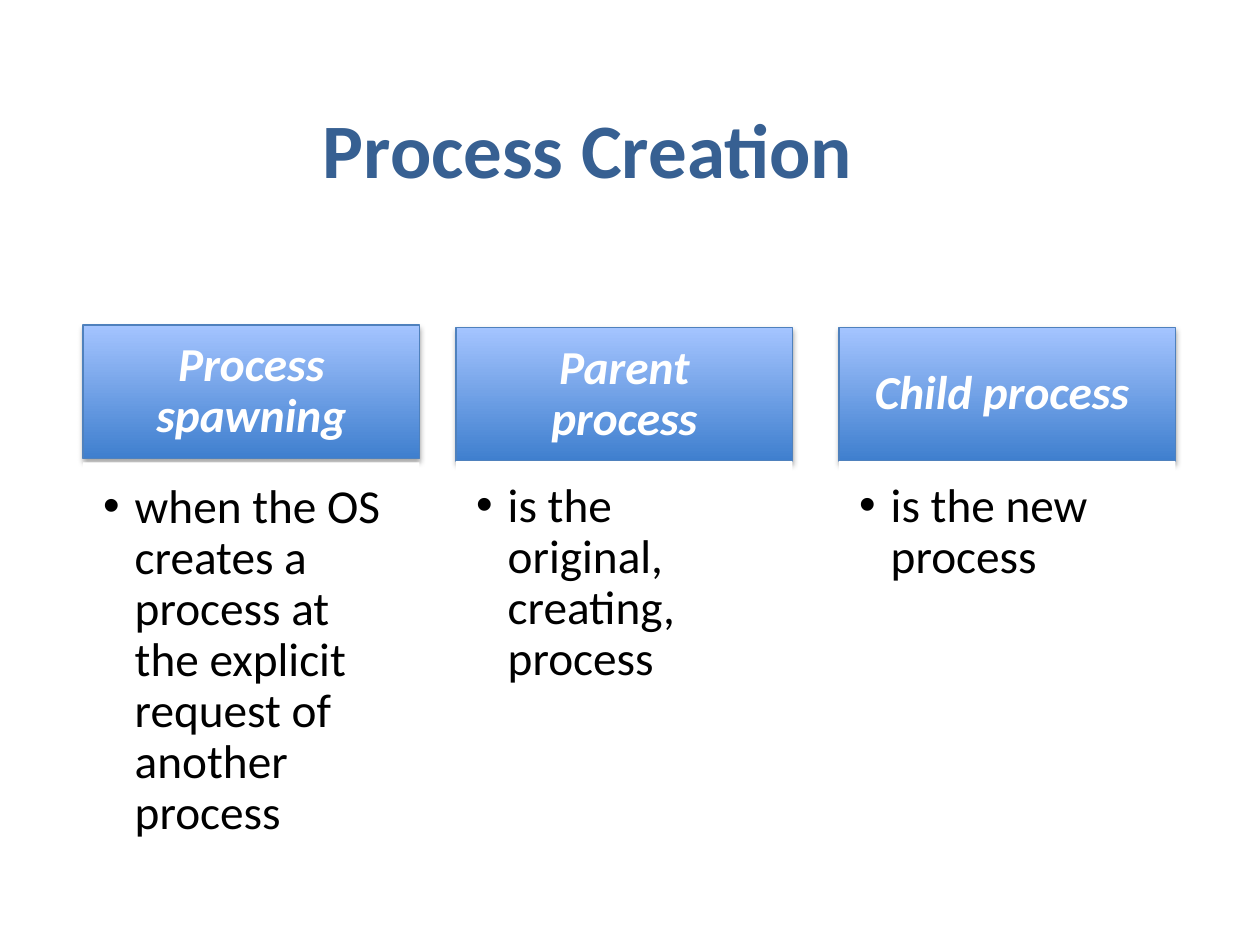
import pptx
import pptx.dml.color
import pptx.enum.shapes
import pptx.enum.text
import pptx.util
from lxml import etree
from pptx.oxml.ns import qn
from pptx.util import Inches

FONT = "Calibri"
COLUMN_WIDTH = 2.67
HEADING_HEIGHT = 1.06
BODY_HEIGHT = 3.24
# left, heading top, body top, heading, description
COLUMNS = [
    (0.66, 2.58, 3.67, "Process spawning",
     "when the OS creates a process at the explicit request of another process"),
    (3.62, 2.6, 3.66, "Parent process", "is the original, creating, process"),
    (6.66, 2.6, 3.66, "Child process ", "is the new process"),
]


def rgb(hex_color):
    return pptx.dml.color.RGBColor.from_string(hex_color)


def write(shape, text, size, color, align, anchor, bold=False, italic=False):
    frame = shape.text_frame
    frame.word_wrap = True
    frame.vertical_anchor = anchor
    paragraph = frame.paragraphs[0]
    paragraph.text = text
    paragraph.alignment = align
    font = paragraph.font
    font.name = FONT
    font.size = pptx.util.Pt(size)
    font.bold = bold
    font.italic = italic
    font.color.rgb = rgb(color)
    return paragraph


def set_margins(shape, left, top, right, bottom):
    frame = shape.text_frame
    frame.margin_left, frame.margin_top = Inches(left), Inches(top)
    frame.margin_right, frame.margin_bottom = Inches(right), Inches(bottom)


def add_box(slide, left, top, height):
    box = slide.shapes.add_shape(
        pptx.enum.shapes.MSO_SHAPE.RECTANGLE,
        Inches(left), Inches(top), Inches(COLUMN_WIDTH), Inches(height))
    box.shadow.inherit = False
    return box


def add_drop_shadow(shape):
    effects = shape._element.spPr.find(qn("a:effectLst"))
    shadow = etree.SubElement(
        effects, qn("a:outerShdw"), blurRad=str(pptx.util.Pt(3.1)),
        dist=str(pptx.util.Pt(1.8)), dir="5400000", rotWithShape="0")
    color = etree.SubElement(shadow, qn("a:srgbClr"), val="000000")
    etree.SubElement(color, qn("a:alpha"), val="35000")


def add_bullet(paragraph):
    properties = paragraph._p.get_or_add_pPr()
    properties.set("marL", str(Inches(0.25)))
    properties.set("indent", str(Inches(-0.25)))
    etree.SubElement(properties, qn("a:buFont"), typeface="Arial")
    etree.SubElement(properties, qn("a:buChar"), char="•")
    # The bullet has to precede the default run properties.
    defaults = properties.find(qn("a:defRPr"))
    if defaults is not None:
        properties.append(defaults)


def add_title(slide, text):
    title = slide.shapes.add_textbox(
        Inches(0), Inches(0.5), Inches(9.33), Inches(1.34))
    write(title, text, 44, "376092", pptx.enum.text.PP_ALIGN.CENTER,
          pptx.enum.text.MSO_ANCHOR.MIDDLE, bold=True)


def add_heading(slide, left, top, text):
    heading = add_box(slide, left, top, HEADING_HEIGHT)
    heading.fill.gradient()
    heading.fill.gradient_angle = 90
    for stop, color in zip(heading.fill.gradient_stops, ("3F7FCE", "A4C4FF")):
        stop.color.rgb = rgb(color)
    heading.line.color.rgb = rgb("4F81BD")
    heading.line.width = pptx.util.Pt(0.75)
    add_drop_shadow(heading)
    set_margins(heading, 0.21, 0.12, 0.21, 0.12)
    paragraph = write(heading, text, 27, "FFFFFF",
                      pptx.enum.text.PP_ALIGN.CENTER,
                      pptx.enum.text.MSO_ANCHOR.MIDDLE, bold=True, italic=True)
    paragraph.line_spacing = 0.9


def add_description(slide, left, top, text):
    description = add_box(slide, left, top, BODY_HEIGHT)
    description.fill.solid()
    description.fill.fore_color.rgb = rgb("FFFFFF")
    description.line.fill.background()
    set_margins(description, 0.16, 0.16, 0.21, 0.24)
    paragraph = write(description, text, 27, "000000",
                      pptx.enum.text.PP_ALIGN.LEFT,
                      pptx.enum.text.MSO_ANCHOR.TOP)
    paragraph.line_spacing = 0.9
    add_bullet(paragraph)


def main():
    presentation = pptx.Presentation()
    presentation.slide_width = Inches(10)
    presentation.slide_height = Inches(7.5)
    slide = presentation.slides.add_slide(presentation.slide_layouts[6])
    add_title(slide, "Process Creation")
    for left, heading_top, body_top, heading, description in COLUMNS:
        add_heading(slide, left, heading_top, heading)
        add_description(slide, left, body_top, description)
    presentation.save("out.pptx")


if __name__ == "__main__":
    main()
